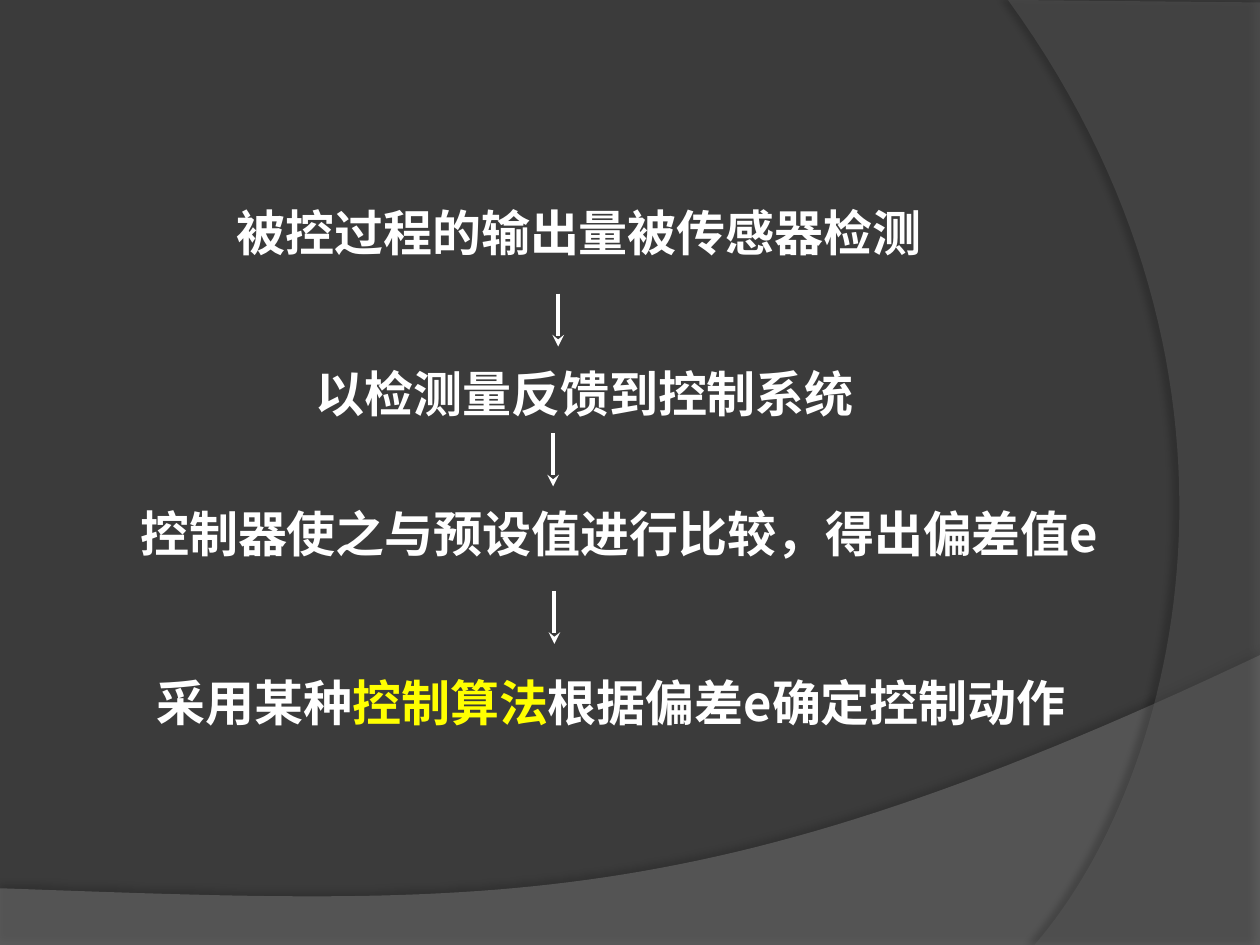
from dataclasses import dataclass

from lxml.etree import SubElement
from pptx import Presentation
from pptx.dml.color import RGBColor
from pptx.enum.shapes import MSO_CONNECTOR
from pptx.enum.text import MSO_ANCHOR, PP_ALIGN
from pptx.oxml.ns import qn
from pptx.util import Inches, Pt


@dataclass(frozen=True)
class Theme:
    background: str = "3B3B3B"
    lower_wave: str = "7F7F7F"
    right_wave: str = "5E5E5E"
    text: str = "FFFFFF"
    highlight: str = "FFFF00"
    font: str = "Noto Sans CJK SC"
    step_size: int = 28
    step_leading: int = 34
    arrow_width: float = 2.25


THEME = Theme()
SLIDE_W, SLIDE_H = 10, 7.5
STEP_H = 0.57
ARROW_H = 0.42

# Box (left, top, width) of each step and its (text, colour) parts
STEPS = [
    ((1.22, 1.55, 6.75), [("被控过程的输出量被传感器检测", THEME.text)]),
    ((1.93, 2.83, 5.42), [("以检测量反馈到控制系统", THEME.text)]),
    ((0.9, 3.94, 8.03), [("控制器使之与预设值进行比较，得出偏差值e", THEME.text)]),
    ((1.06, 5.28, 7.58), [("采用某种", THEME.text),
                          ("控制算法", THEME.highlight),
                          ("根据偏差e确定控制动作", THEME.text)]),
]
# Top centre of the arrow that leads to each later step
ARROWS = [(4.43, 2.33), (4.39, 3.44), (4.4, 4.69)]


def color(value):
    return RGBColor.from_string(value)


def bezier(start, control_1, control_2, end, pieces=60):
    """Points along a cubic curve, both ends included."""
    weights = [((1 - t) ** 3, 3 * t * (1 - t) ** 2, 3 * t * t * (1 - t), t ** 3)
               for t in (i / pieces for i in range(pieces + 1))]
    corners = (start, control_1, control_2, end)
    return [tuple(sum(w * p[axis] for w, p in zip(row, corners))
                  for axis in (0, 1)) for row in weights]


def add_effects(properties):
    return SubElement(properties, qn("a:effectLst"))


def add_wave(slide, outline, fill, opacity, shadow):
    """Draw a translucent area; shadow is (opacity, blur, distance, angle)."""
    points = [(Inches(x), Inches(y)) for x, y in outline]
    builder = slide.shapes.build_freeform(*points[0])
    builder.add_line_segments(points[1:], close=True)
    wave = builder.convert_to_shape()
    wave.fill.solid()
    wave.fill.fore_color.rgb = color(fill)
    wave.line.fill.background()
    properties = wave._element.spPr
    fill_color = properties.find(qn("a:solidFill")).find(qn("a:srgbClr"))
    SubElement(fill_color, qn("a:alpha"), val=str(opacity * 1000))

    shade, blur, distance, angle = shadow
    outer = SubElement(add_effects(properties), qn("a:outerShdw"),
                       blurRad=str(Pt(blur)), dist=str(Pt(distance)),
                       dir=str(angle * 60000), algn="ctr", rotWithShape="0")
    shadow_color = SubElement(outer, qn("a:srgbClr"), val="000000")
    SubElement(shadow_color, qn("a:alpha"), val=str(shade * 1000))


def add_backdrop(slide, width, height):
    slide.background.fill.solid()
    slide.background.fill.fore_color.rgb = color(THEME.background)
    lower_edge = bezier((width, 5.2), (5.59, 7.29), (3.91, 7.19), (0, 7.05))
    add_wave(slide, [(0, height), (width, height), *lower_edge],
             THEME.lower_wave, 45, (35, 4, 3.5, 270))
    right_edge = bezier((8.21, height), (9.35, 6.19), (10.18, 3), (8, 0))
    add_wave(slide, [(width, 0.02), (width, height), *right_edge],
             THEME.right_wave, 40, (45, 4, 4, 180))


def add_step(slide, box, parts):
    left, top, width = box
    frame = slide.shapes.add_textbox(Inches(left), Inches(top), Inches(width),
                                     Inches(STEP_H)).text_frame
    frame.word_wrap = True
    frame.vertical_anchor = MSO_ANCHOR.TOP
    paragraph = frame.paragraphs[0]
    paragraph.alignment = PP_ALIGN.CENTER
    paragraph.line_spacing = Pt(THEME.step_leading)
    paragraph.font.size = Pt(THEME.step_size)
    paragraph.font.bold = True
    paragraph.font.name = THEME.font
    for text, text_color in parts:
        run = paragraph.add_run()
        run.text = text
        run.font.color.rgb = color(text_color)
        SubElement(run._r.get_or_add_rPr(), qn("a:ea"), typeface=THEME.font)


def add_arrow(slide, x, top):
    arrow = slide.shapes.add_connector(MSO_CONNECTOR.STRAIGHT, Inches(x), Inches(top),
                                       Inches(x), Inches(top + ARROW_H))
    arrow.line.color.rgb = color(THEME.text)
    arrow.line.width = Pt(THEME.arrow_width)
    SubElement(arrow.line._get_or_add_ln(), qn("a:tailEnd"), type="stealth")
    add_effects(arrow._element.spPr)


def add_control_flow(slide):
    for box, parts in STEPS:
        add_step(slide, box, parts)
    for x, top in ARROWS:
        add_arrow(slide, x, top)


def main():
    presentation = Presentation()
    presentation.slide_width = Inches(SLIDE_W)
    presentation.slide_height = Inches(SLIDE_H)
    slide = presentation.slides.add_slide(presentation.slide_layouts[6])
    add_backdrop(slide, SLIDE_W, SLIDE_H)
    add_control_flow(slide)
    presentation.save("out.pptx")


if __name__ == "__main__":
    main()
